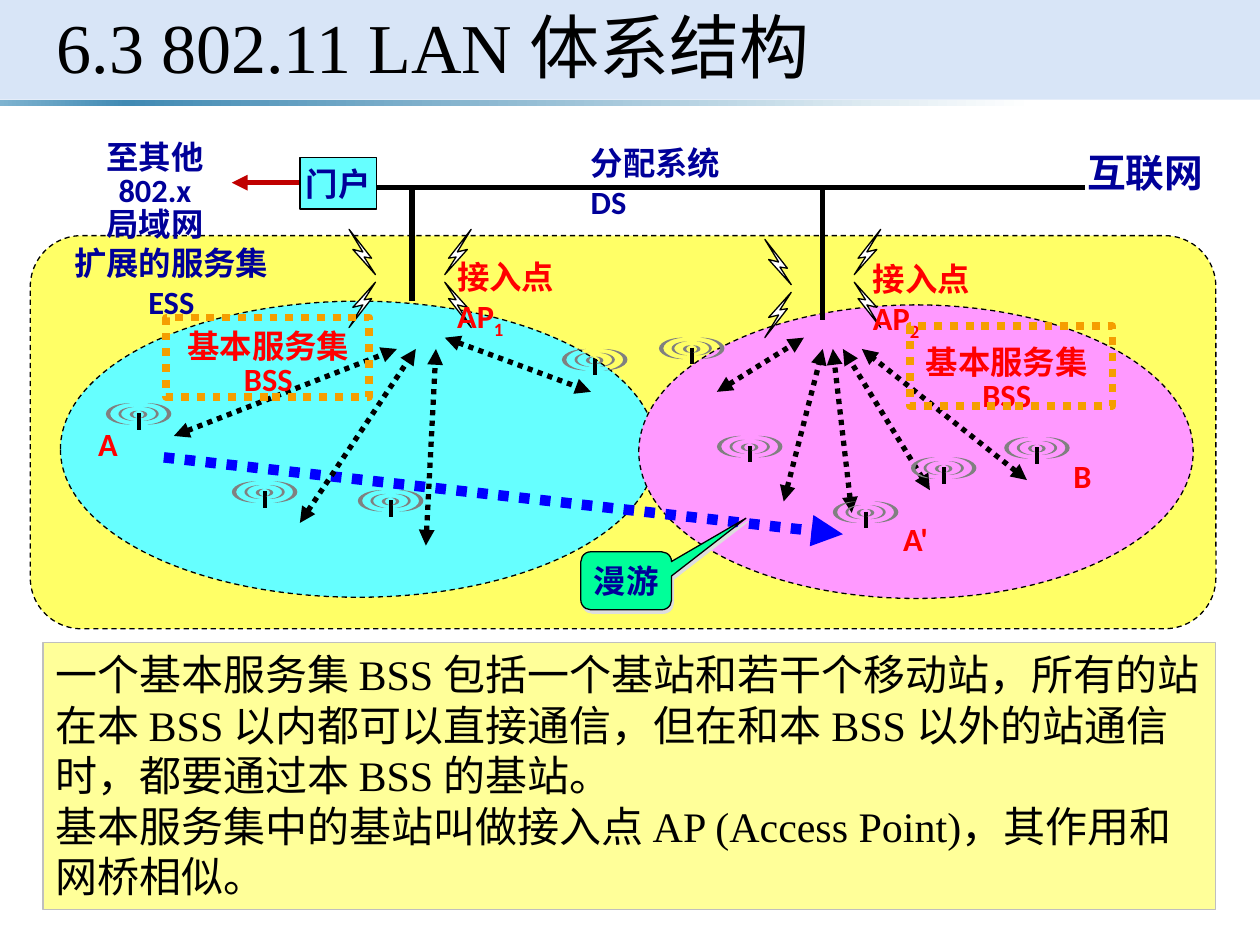
from lxml import etree
from pptx import Presentation
from pptx.dml.color import RGBColor
from pptx.enum.dml import MSO_LINE
from pptx.enum.shapes import MSO_CONNECTOR, MSO_SHAPE
from pptx.enum.text import MSO_ANCHOR, MSO_AUTO_SIZE, PP_ALIGN
from pptx.oxml import parse_xml
from pptx.oxml.ns import nsdecls, qn
from pptx.util import Inches, Pt

RECT, ROUND, OVAL = MSO_SHAPE.RECTANGLE, MSO_SHAPE.ROUNDED_RECTANGLE, MSO_SHAPE.OVAL
MOON, CALL = MSO_SHAPE.MOON, MSO_SHAPE.ROUNDED_RECTANGULAR_CALLOUT
STRAIGHT = MSO_CONNECTOR.STRAIGHT
DASH, DOT = MSO_LINE.DASH, MSO_LINE.ROUND_DOT
LEFT, MID = PP_ALIGN.LEFT, PP_ALIGN.CENTER
TOP, CENTRE = MSO_ANCHOR.TOP, MSO_ANCHOR.MIDDLE
FIXED = MSO_AUTO_SIZE.NONE

BLACK = RGBColor(0x00, 0x00, 0x00)
WHITE = RGBColor(0xFF, 0xFF, 0xFF)
SKY = RGBColor(0xC8, 0xDA, 0xF4)
CREAM = RGBColor(0xFF, 0xFF, 0x99)
SILVER = RGBColor(0xBF, 0xBF, 0xBF)
YELLOW = RGBColor(0xFF, 0xFF, 0x66)
CYAN = RGBColor(0x66, 0xFF, 0xFF)
PINK = RGBColor(0xFF, 0x99, 0xFF)
GREY = RGBColor(0x80, 0x80, 0x80)
RED = RGBColor(0xFF, 0x00, 0x00)
NAVY = RGBColor(0x00, 0x00, 0x99)
BLUE = RGBColor(0x00, 0x00, 0xFF)
GREEN = RGBColor(0x00, 0xFF, 0x99)
BRICK = RGBColor(0xC0, 0x00, 0x00)
AMBER = RGBColor(0xF5, 0x9E, 0x00)
SANS, SERIF = "Calibri", "Times New Roman"

BOLT = [(0, 0), (0.18, 0.23), (0.12, 0.22), (0.21, 0.36), (0.03, 0.16), (0.11, 0.18)]
WAVES = [(0, 0, 0.19, 0.17, 0.18), (0.1, 0.03, 0.12, 0.11, 0.18), (0.19, 0.06, 0.06, 0.06, 0.42)]


def paint(shape, fill, line, width=0.75, dash=None):
    """Set the fill and outline of a shape."""
    shape.shadow.inherit = False
    if fill is None:
        shape.fill.background()
    else:
        shape.fill.solid()
        shape.fill.fore_color.rgb = fill
    if line is None:
        shape.line.fill.background()
        return
    shape.line.color.rgb = line
    shape.line.width = Pt(width)
    if dash is not None:
        shape.line.dash_style = dash


def block(slide, kind, box, fill=None, line=None, width=0.75, dash=None, adjust=()):
    """Add a preset shape."""
    shape = slide.shapes.add_shape(kind, *map(Inches, box))
    paint(shape, fill, line, width, dash)
    for i, value in enumerate(adjust):
        shape.adjustments[i] = value
    return shape


def write(frame, lines, size, color, font=SANS, bold=True, align=LEFT, space=1.0, anchor=TOP):
    """Fill a text frame; each line is a list of runs with a subscript flag."""
    frame.word_wrap = True
    frame.auto_size = FIXED
    frame.vertical_anchor = anchor
    for i, runs in enumerate(lines):
        para = frame.paragraphs[0] if i == 0 else frame.add_paragraph()
        para.alignment = align
        para.line_spacing = space
        for text, low in runs:
            run = para.add_run()
            run.text = text
            run.font.name = font
            run.font.size = Pt(size)
            run.font.bold = bold
            run.font.color.rgb = color
            if low:
                run.font._element.set("baseline", "-25000")


def plain(*lines):
    """Make each line a single plain run."""
    return [[(line, False)] for line in lines]


def label(slide, box, lines, color, size=18.5, align=LEFT, space=1.0):
    """Add a bold text label."""
    shape = slide.shapes.add_textbox(*map(Inches, box))
    write(shape.text_frame, lines, size, color, align=align, space=space)


def link(slide, start, end, color=BLACK, width=3, dash=None, ends=()):
    """Add a straight line with optional arrowheads."""
    line = slide.shapes.add_connector(STRAIGHT, *map(Inches, start + end))
    line.line.color.rgb = color
    line.line.width = Pt(width)
    if dash is not None:
        line.line.dash_style = dash
    for end_tag in ends:
        etree.SubElement(line.line._get_or_add_ln(), qn(end_tag)).set("type", "triangle")
    etree.SubElement(line._element.spPr, qn("a:effectLst"))


def bolt(slide, x, y, flip_x, flip_y):
    """Draw a lightning bolt, mirrored as asked."""
    points = [(Inches(x + (0.21 - a if flip_x else a)), Inches(y + (0.36 - b if flip_y else b)))
              for a, b in BOLT]
    build = slide.shapes.build_freeform(*points[0])
    build.add_line_segments(points[1:], close=True)
    paint(build.convert_to_shape(), WHITE, BLACK)


def mast(slide, x, y):
    """Draw a mobile station antenna with its waves."""
    link(slide, (x + 0.26, y + 0.08), (x + 0.26, y + 0.21), width=2.25)
    for dx, dy, w, h, bend in WAVES:
        block(slide, MOON, (x + dx, y + dy, w, h), GREY, adjust=[bend])
        right = block(slide, MOON, (x + 0.52 - dx - w, y + dy, w, h), GREY, adjust=[bend])
        right._element.spPr.find(qn("a:xfrm")).set("flipH", "1")


def banner(slide):
    """Draw the title band and the fading rule below it."""
    band = block(slide, RECT, (0, 0, 10, 0.79), SKY)
    tint = band._element.spPr.find(qn("a:solidFill"))[0]
    etree.SubElement(tint, qn("a:alpha")).set("val", "70000")
    rule = block(slide, RECT, (0, 0.79, 10, 0.05), WHITE)
    stops = [(0, "7EB3D0"), (10, "418AB3"), (82, "FFFFFF"), (96, "FFFFFF")]
    marks = "".join(f'<a:gs pos="{p * 1000}"><a:srgbClr val="{c}"/></a:gs>' for p, c in stops)
    fade = parse_xml(f'<a:gradFill {nsdecls("a")}><a:gsLst>{marks}</a:gsLst><a:lin ang="0"/></a:gradFill>')
    props = rule._element.spPr
    props.replace(props.find(qn("a:solidFill")), fade)


def bubble(slide):
    """Draw the roaming callout with its shadow."""
    shape = block(slide, CALL, (4.61, 4.38, 0.72, 0.46), GREEN, BLACK, adjust=[1.32, -1.08, 0.17])
    frame = shape.text_frame
    frame.margin_left = frame.margin_right = 0
    write(frame, plain("漫游"), 18.5, NAVY, align=MID, anchor=CENTRE)
    shade = parse_xml(f'<a:outerShdw {nsdecls("a")} dist="27940" dir="3780000">'
                      '<a:srgbClr val="DDDDDD"/></a:outerShdw>')
    shape._element.spPr.find(qn("a:effectLst")).append(shade)


def main():
    """Build the slide."""
    deck = Presentation()
    deck.slide_width, deck.slide_height = Inches(10), Inches(7.5)
    slide = deck.slides.add_slide(deck.slide_layouts[5])
    banner(slide)

    note = block(slide, RECT, (0.34, 5.1, 9.31, 2.12), CREAM, SILVER)
    write(note.text_frame, plain(
        "一个基本服务集 BSS 包括一个基站和若干个移动站，所有的站在本 BSS 以内都可以直接通信，"
        "但在和本 BSS 以外的站通信时，都要通过本 BSS 的基站。",
        "基本服务集中的基站叫做接入点 AP (Access Point)，其作用和网桥相似。"),
        24, BLACK, SERIF, False)

    block(slide, ROUND, (0.24, 1.87, 9.41, 3.12), YELLOW, BLACK, dash=DASH, adjust=[0.13])
    block(slide, OVAL, (0.48, 2.39, 4.73, 2.35), CYAN, BLACK, dash=DASH)
    block(slide, OVAL, (5.07, 2.42, 4.4, 2.33), PINK, BLACK, dash=DASH)

    link(slide, (1.3, 3.63), (6.69, 4.24), BLUE, 6, DOT, ["a:tailEnd"])
    bubble(slide)
    link(slide, (2.76, 1.49), (8.61, 1.49))
    link(slide, (3.27, 1.49), (3.27, 2.39))
    link(slide, (6.53, 1.49), (6.53, 2.54))
    link(slide, (2.59, 1.45), (1.84, 1.45), BRICK, ends=["a:tailEnd"])

    for x, y, flip_x in [(2.77, 1.82, False), (3.53, 1.82, True), (6.07, 1.9, False), (6.78, 1.82, True)]:
        bolt(slide, x, y, flip_x, False)
        bolt(slide, x, y + 0.42, flip_x, True)

    for start, end in [
        ((1.38, 3.46), (3.15, 2.77)), ((2.38, 4.15), (3.3, 2.77)), ((5.69, 3.11), (6.38, 2.68)),
        ((3.53, 2.68), (4.69, 3.11)), ((3.38, 4.33), (3.46, 2.77)), ((6.22, 3.98), (6.53, 2.77)),
        ((8.15, 3.81), (6.84, 2.77)), ((7.38, 3.89), (6.69, 2.77)), ((6.76, 4.07), (6.61, 2.77)),
    ]:
        link(slide, start, end, dash=DOT, ends=["a:headEnd", "a:tailEnd"])

    for x, y in [(0.84, 3.2), (1.84, 3.82), (5.23, 2.68), (2.84, 3.89), (4.46, 2.77),
                 (6.61, 3.98), (5.69, 3.46), (7.23, 3.63), (7.97, 3.47)]:
        mast(slide, x, y)

    for x, y, name in [(0.68, 3.32, "A"), (8.42, 3.57, "B"), (7.07, 4.07, "A'")]:
        label(slide, (x, y, 0.42, 0.41), plain(name), RED)
    for x, y, digit in [(3.53, 1.99, "1"), (6.83, 2.01, "2")]:
        label(slide, (x, y, 1.35, 0.41), [[("接入点 AP", False), (digit, True)]], RED)
    for x, y in [(1.38, 2.59), (7.24, 2.71)]:
        label(slide, (x, y, 1.5, 0.63), plain("基本服务集", "BSS"), RED, align=MID, space=0.85)
    label(slide, (0.48, 1.88, 1.76, 0.72), plain("扩展的服务集", "ESS"), NAVY, align=MID)
    label(slide, (0.48, 1.09, 1.5, 0.63), plain("至其他 802.x", "局域网"), NAVY, align=MID, space=0.85)
    label(slide, (4.59, 1.09, 1.5, 0.41), plain("分配系统 DS"), NAVY)
    label(slide, (8.53, 1.13, 1.2, 0.47), plain("互联网"), NAVY, 22.1)

    gate = block(slide, RECT, (2.38, 1.25, 0.61, 0.41), CYAN, BLACK)
    gate.text_frame.margin_left = gate.text_frame.margin_right = 0
    write(gate.text_frame, plain("门户"), 18.5, NAVY, align=MID, anchor=CENTRE)
    for x, y in [(1.32, 2.52), (7.22, 2.59)]:
        block(slide, RECT, (x, y, 1.61, 0.63), None, AMBER, 4.5, DOT)

    title = slide.shapes.title
    title.left, title.top, title.width, title.height = map(Inches, (0.35, 0, 9.3, 0.81))
    write(title.text_frame, plain("6.3 802.11 LAN 体系结构"), 40, BLACK, SERIF, False,
          space=0.9, anchor=CENTRE)
    slide.shapes._spTree.append(title._element)
    deck.save("out.pptx")


if __name__ == "__main__":
    main()
